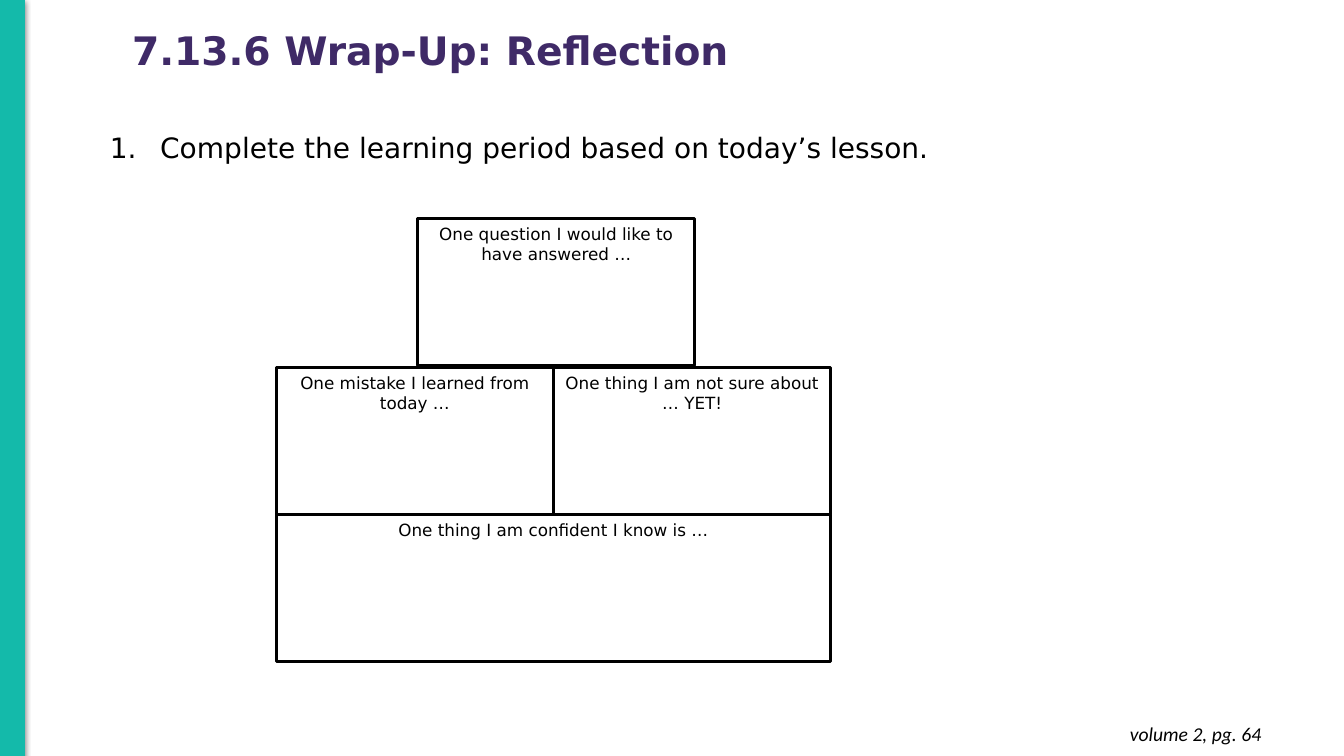
"""Builds the reflection slide with its pyramid of prompts."""
from dataclasses import dataclass

from lxml.etree import SubElement
from pptx import Presentation
from pptx.dml.color import RGBColor
from pptx.enum.shapes import MSO_SHAPE as Preset
from pptx.enum.text import MSO_ANCHOR as Anchor, MSO_AUTO_SIZE as AutoSize, PP_ALIGN as Align
from pptx.oxml.ns import qn
from pptx.shapes.autoshape import Shape
from pptx.slide import Slide
from pptx.text.text import TextFrame
from pptx.util import Inches, Pt


@dataclass(frozen=True)
class Theme:
    """Colours, fonts and type sizes."""
    teal: str = "14BAAA"
    purple: str = "3F2A67"
    black: str = "000000"
    white: str = "FFFFFF"
    main_font: str = "DejaVu Sans"
    page_font: str = "Calibri"
    title_size: int = 28
    task_size: int = 20
    page_size: int = 14
    prompt_size: int = 12


@dataclass(frozen=True)
class Grid:
    """Origin and cell size of the pyramid, in inches."""
    left: float = 2.74
    top: float = 2.17
    column: float = 2.75
    row: float = 1.46


@dataclass(frozen=True)
class Prompt:
    """A pyramid box placed by grid column and row."""
    text: str
    column: float
    row: float
    columns: int = 1


THEME = Theme()
GRID = Grid()
PROMPTS = (
    Prompt("One question I would like to have answered …", 0.51, 0),
    Prompt("One mistake I learned from today …", 0, 1.01),
    Prompt("One thing I am not sure about … YET!", 1, 1.01),
    Prompt("One thing I am confident I know is …", 0, 2.01, 2),
)


def write(frame: TextFrame, text: str, size: int, align: Align = Align.LEFT,
          color: str = THEME.black, face: str = THEME.main_font,
          bold: bool = False, italic: bool = False) -> None:
    """Set the frame's text and format its runs."""
    frame.text = text
    frame.word_wrap = True
    paragraph = frame.paragraphs[0]
    paragraph.alignment = align
    for run in paragraph.runs:
        run.font.name, run.font.size = face, Pt(size)
        run.font.bold, run.font.italic = bold, italic
        run.font.color.rgb = RGBColor.from_string(color)


def add_box(slide: Slide, left: float, top: float, width: float, height: float,
            fill: str, line: str, weight: float) -> Shape:
    """Draw a flat rectangle, measured in inches."""
    box = slide.shapes.add_shape(Preset.RECTANGLE, *map(Inches, (left, top, width, height)))
    box.shadow.inherit = False
    box.fill.solid()
    box.fill.fore_color.rgb = RGBColor.from_string(fill)
    box.line.color.rgb = RGBColor.from_string(line)
    box.line.width = Pt(weight)
    return box


def add_sidebar(slide: Slide) -> None:
    """Draw the teal edge with its soft shadow."""
    sidebar = add_box(slide, 0, 0, 0.24, 7.51, THEME.teal, THEME.teal, 0.75)
    effects = sidebar.element.spPr.find(qn("a:effectLst"))
    shadow = SubElement(effects, qn("a:outerShdw"), blurRad=str(Pt(4.5)),
                        dist=str(Pt(1.5)), dir="5400000", rotWithShape="0")
    tint = SubElement(shadow, qn("a:srgbClr"), val=THEME.black)
    SubElement(tint, qn("a:alpha"), val="50000")


def add_title(slide: Slide) -> None:
    """Place and format the title placeholder."""
    title = slide.shapes.title
    title.left, title.top, title.width, title.height = map(Inches, (1.21, -0.2, 8.77, 1.45))
    frame = title.text_frame
    write(frame, "7.13.6 Wrap-Up: Reflection", THEME.title_size, color=THEME.purple, bold=True)
    frame.auto_size = AutoSize.NONE
    frame.vertical_anchor = Anchor.MIDDLE
    frame.paragraphs[0].line_spacing = 0.9


def add_task(slide: Slide) -> None:
    """Add the numbered instruction."""
    task = slide.shapes.add_textbox(*map(Inches, (0.99, 1.25, 9.21, 0.44)))
    frame = task.text_frame
    write(frame, "Complete the learning period based on today’s lesson.", THEME.task_size)
    frame.auto_size = AutoSize.SHAPE_TO_FIT_TEXT
    numbering = frame.paragraphs[0]._p.get_or_add_pPr()
    numbering.set("marL", str(Inches(0.5)))
    numbering.set("indent", str(-Inches(0.5)))
    SubElement(SubElement(numbering, qn("a:buClr")), qn("a:srgbClr"), val=THEME.black)
    SubElement(numbering, qn("a:buAutoNum"), type="arabicPeriod")


def add_page_reference(slide: Slide) -> None:
    """Add the volume and page at the lower right."""
    reference = slide.shapes.add_textbox(*map(Inches, (9.73, 7.06, 2.88, 0.44)))
    frame = reference.text_frame
    write(frame, "volume 2, pg. 64", THEME.page_size, Align.RIGHT,
          face=THEME.page_font, italic=True)
    frame.auto_size = AutoSize.SHAPE_TO_FIT_TEXT
    frame.margin_top = frame.margin_bottom = Inches(0.1)


def add_prompt(slide: Slide, prompt: Prompt) -> None:
    """Draw one pyramid box with its prompt at the top."""
    box = add_box(slide, GRID.left + prompt.column * GRID.column,
                  GRID.top + prompt.row * GRID.row,
                  prompt.columns * GRID.column, GRID.row,
                  THEME.white, THEME.black, 2.25)
    write(box.text_frame, prompt.text, THEME.prompt_size, Align.CENTER)
    box.text_frame.vertical_anchor = Anchor.TOP
    box.text_frame.paragraphs[0].space_after = Pt(10)


def main() -> None:
    """Build and save the slide."""
    deck = Presentation()
    deck.slide_width, deck.slide_height = Inches(13.33), Inches(7.5)
    slide = deck.slides.add_slide(deck.slide_layouts.get_by_name("Title Only"))
    add_sidebar(slide)
    add_title(slide)
    add_task(slide)
    add_page_reference(slide)
    for prompt in PROMPTS:
        add_prompt(slide, prompt)
    deck.save("out.pptx")


if __name__ == "__main__":
    main()
